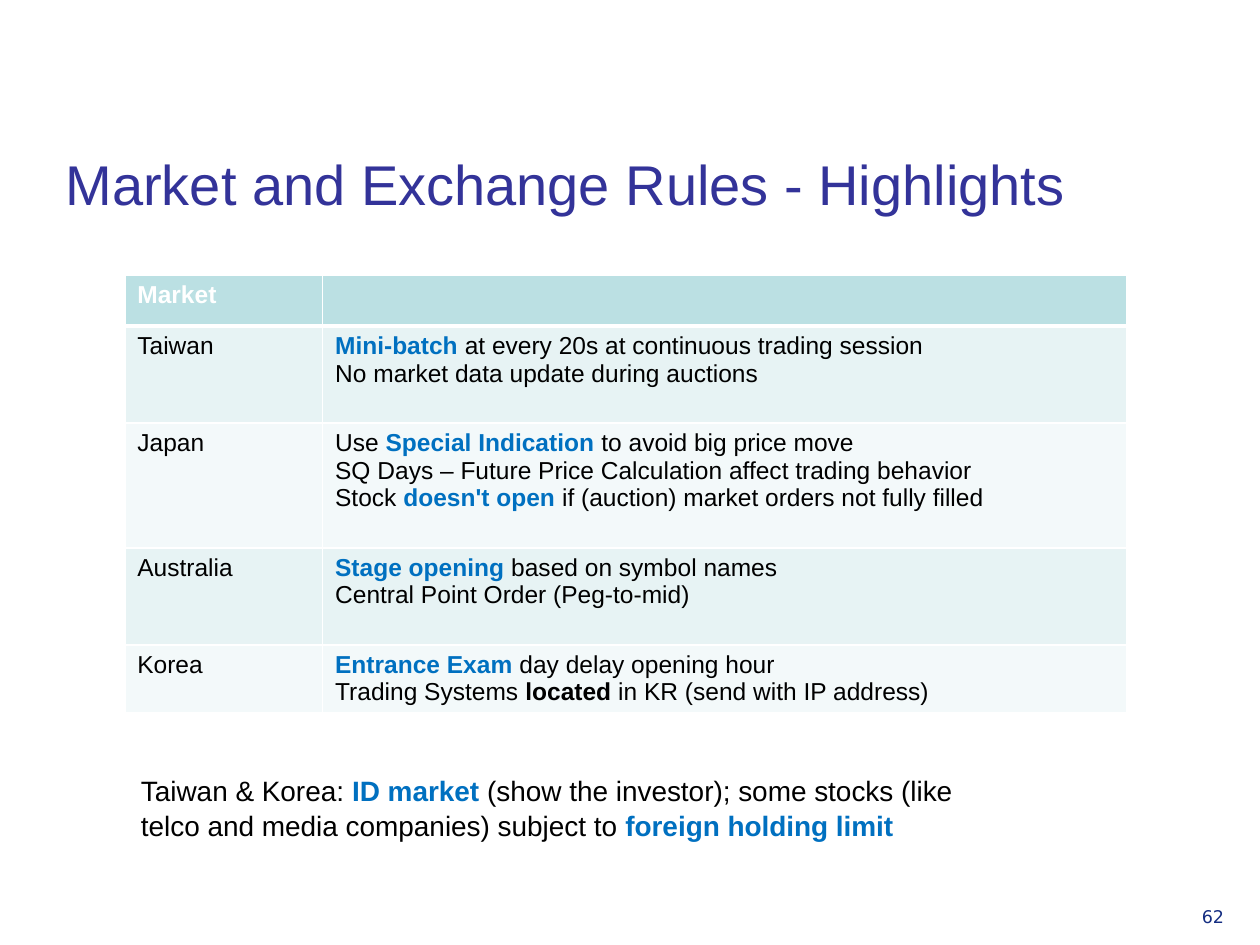
from typing import NamedTuple

from lxml import etree
from pptx import Presentation
from pptx import util as u
from pptx.dml.color import RGBColor
from pptx.enum import text
from pptx.oxml.ns import qn

WHITE = RGBColor(0xFF, 0xFF, 0xFF)
BLACK = RGBColor(0x00, 0x00, 0x00)
INDIGO = RGBColor(0x33, 0x33, 0x99)
NAVY = RGBColor(0x15, 0x2E, 0x82)
BLUE = RGBColor(0x00, 0x70, 0xC0)
HEADER_FILL = RGBColor(0xBB, 0xE0, 0xE3)
BAND_FILLS = RGBColor(0xE7, 0xF3, 0xF4), RGBColor(0xF3, 0xF9, 0xFA)

SLIDE_W, SLIDE_H = u.Inches(10), u.Inches(7.5)


class Run(NamedTuple):
    text: str
    color: RGBColor = BLACK
    bold: bool = False


class Market(NamedTuple):
    name: str
    height: float  # inches
    rules: list[list[Run]]


class Box(NamedTuple):
    """Place and size as shares of the slide."""
    left: float
    top: float
    width: float
    height: float

    def emu(self) -> tuple[int, int, int, int]:
        return (int(self.left * SLIDE_W), int(self.top * SLIDE_H),
                int(self.width * SLIDE_W), int(self.height * SLIDE_H))


def key(words: str) -> Run:
    return Run(words, BLUE, True)


MARKETS = [
    Market("Taiwan", 0.77, [
        [key("Mini-batch"), Run(" at every 20s at continuous trading session")],
        [Run("No market data update during auctions")]]),
    Market("Japan", 0.99, [
        [Run("Use "), key("Special Indication "), Run("to avoid big price move")],
        [Run("SQ Days – Future Price Calculation affect trading behavior")],
        [Run("Stock "), key("doesn't open "),
         Run("if (auction) market orders not fully filled")]]),
    Market("Australia", 0.77, [
        [key("Stage opening "), Run("based on symbol names")],
        [Run("Central Point Order (Peg-to-mid)")]]),
    Market("Korea", 0.53, [
        [key("Entrance Exam "), Run("day delay opening hour")],
        [Run("Trading Systems "), Run("located", bold=True),
         Run(" in KR (send with IP address)")]]),
]
HEADER_HEIGHT = 0.39
COLUMN_WIDTHS = 1.57, 6.38


def write(tf, paragraphs: list[list[Run]], size: float, font: str = "Arial") -> None:
    tf.word_wrap = True
    for i, runs in enumerate(paragraphs):
        p = tf.add_paragraph() if i else tf.paragraphs[0]
        p.alignment = text.PP_ALIGN.LEFT
        for run in runs:
            r = p.add_run()
            r.text = run.text
            r.font.name, r.font.size = font, u.Pt(size)
            r.font.bold, r.font.color.rgb = run.bold, run.color


def add_text(slide, box: Box, runs: list[Run], size: float, font: str = "Arial"):
    sp = slide.shapes.add_textbox(*box.emu())
    write(sp.text_frame, [runs], size, font)
    return sp


def set_borders(cell, bottom: float) -> None:
    tc_pr = cell._tc.get_or_add_tcPr()
    sides = {"lnL": 1, "lnR": 1, "lnT": 1, "lnB": bottom}
    for i, (tag, width) in enumerate(sides.items()):
        ln = etree.Element(qn(f"a:{tag}"), w=str(u.Pt(width)))
        fill = etree.SubElement(ln, qn("a:solidFill"))
        etree.SubElement(fill, qn("a:srgbClr"), val=str(WHITE))
        tc_pr.insert(i, ln)


def fill_cell(cell, paragraphs: list[list[Run]], color: RGBColor, bottom: float = 1) -> None:
    cell.fill.solid()
    cell.fill.fore_color.rgb = color
    set_borders(cell, bottom)
    write(cell.text_frame, paragraphs, 14)


def add_market_table(slide, left: float, top: float) -> None:
    heights = [HEADER_HEIGHT] + [m.height for m in MARKETS]
    box = Box(left, top, sum(COLUMN_WIDTHS) / 10, sum(heights) / 7.5)
    table = slide.shapes.add_table(len(heights), len(COLUMN_WIDTHS), *box.emu()).table
    for column, width in zip(table.columns, COLUMN_WIDTHS):
        column.width = u.Inches(width)
    for row, height in zip(table.rows, heights):
        row.height = u.Inches(height)

    fill_cell(table.cell(0, 0), [[Run("Market", WHITE, True)]], HEADER_FILL, 3)
    fill_cell(table.cell(0, 1), [], HEADER_FILL, 3)
    for i, market in enumerate(MARKETS):
        color = BAND_FILLS[i % 2]
        fill_cell(table.cell(i + 1, 0), [[Run(market.name)]], color)
        fill_cell(table.cell(i + 1, 1), market.rules, color)


def main() -> None:
    prs = Presentation()
    prs.slide_width, prs.slide_height = SLIDE_W, SLIDE_H
    slide = prs.slides.add_slide(prs.slide_layouts[5])

    # Title
    title = slide.shapes.title
    title.left, title.top, title.width, title.height = Box(0.042, 0.09, 0.883, 0.146).emu()
    title.text_frame.vertical_anchor = text.MSO_ANCHOR.BOTTOM
    write(title.text_frame, [[Run("Market and Exchange Rules - Highlights", INDIGO)]], 32)

    # Rules by market
    add_market_table(slide, 0.099, 0.291)

    # Note under the table
    note = add_text(slide, Box(0.102, 0.81, 0.685, 0.12), [
        Run("Taiwan & Korea: "), key("ID market "),
        Run("(show the investor); some stocks (like telco and media companies) subject to "),
        key("foreign holding limit")], 16)
    note.text_frame.paragraphs[0].line_spacing = 1.05

    # Page number
    add_text(slide, Box(0.944, 0.952, 0.055, 0.052), [Run("62", NAVY)], 10, "DejaVu Sans")

    prs.save("out.pptx")


if __name__ == "__main__":
    main()
